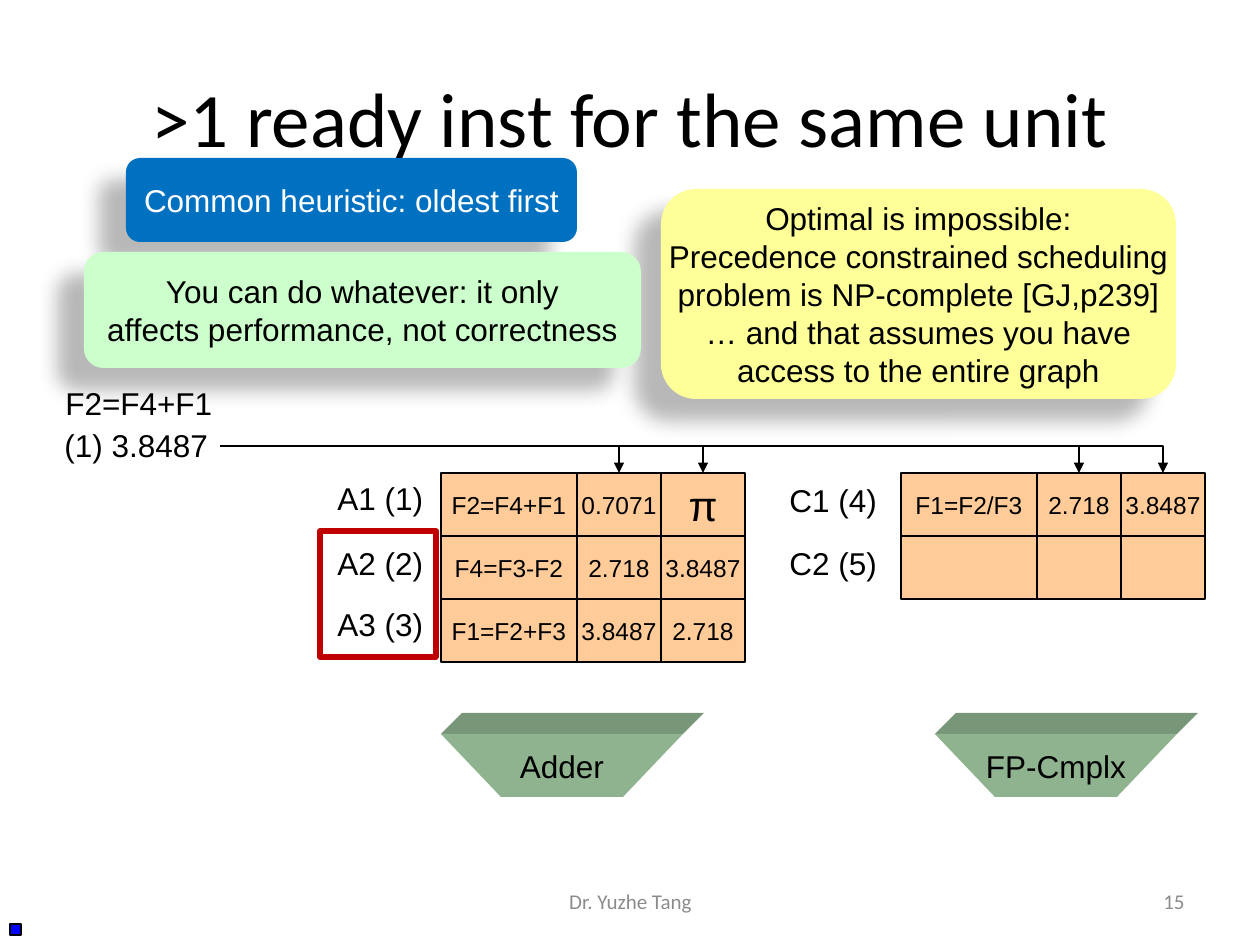
from lxml.etree import SubElement
from pptx import Presentation
from pptx.dml.color import RGBColor
from pptx.enum.shapes import MSO_CONNECTOR, MSO_SHAPE
from pptx.enum.text import MSO_ANCHOR, PP_ALIGN
from pptx.oxml.ns import qn
from pptx.util import Emu, Pt

PX = 914400 / 126
COLORS = {
    "black": "000000", "white": "FFFFFF", "gray": "8C8C8C", "cell": "FFCC99",
    "blue": "0070C0", "yellow": "FFFF99", "mint": "CCFFCC", "red": "C00000",
    "marker": "0000FF", "unit": "8FB38F", "unit_top": "789678",
}
COLUMN_WIDTHS = (136, 84, 84)
ROW_HEIGHT = 63
TABLE_TOP = 473
ADDER_ROWS = [("F2=F4+F1", "0.7071", "π"),
              ("F4=F3-F2", "2.718", "3.8487"),
              ("F1=F2+F3", "3.8487", "2.718")]
CMPLX_ROWS = [("F1=F2/F3", "2.718", "3.8487"), ("", "", "")]
LABELS = [
    ("F2=F4+F1", 53, 378, 174), ("(1) 3.8487", 52, 420, 169),
    ("A1 (1)", 325, 473, 112), ("A2 (2)", 325, 538, 112), ("A3 (3)", 325, 599, 112),
    ("C1 (4)", 777, 475, 113), ("C2 (5)", 777, 538, 113),
]
NOTES = [
    ("Common heuristic: oldest first", (126, 158, 451, 84), "blue", "white"),
    ("Optimal is impossible:\nPrecedence constrained scheduling\n"
     "problem is NP-complete [GJ,p239]\n… and that assumes you have\n"
     "access to the entire graph", (661, 189, 515, 210), "yellow", "black"),
    ("You can do whatever: it only\naffects performance, not correctness",
     (84, 252, 557, 116), "mint", "black"),
]


def px(*lengths):
    return [Emu(round(v * PX)) for v in lengths]


def rgb(name):
    return RGBColor.from_string(COLORS[name])


def write(shape, text, size=18, color="black", font="Arial",
          align=PP_ALIGN.CENTER, anchor=MSO_ANCHOR.MIDDLE, wrap=False):
    tf = shape.text_frame
    tf.word_wrap = wrap
    tf.vertical_anchor = anchor
    tf.text = text
    values = {"size": Pt(size), "name": font}
    for p in tf.paragraphs:
        p.alignment = align
        for r in p.runs:
            for key, value in values.items():
                setattr(r.font, key, value)
            r.font.color.rgb = rgb(color)


def paint(shape, fill=None, line=None, width=0.75):
    shape.shadow.inherit = False
    if fill:
        shape.fill.solid()
        shape.fill.fore_color.rgb = rgb(fill)
    else:
        shape.fill.background()
    if line:
        shape.line.color.rgb = rgb(line)
        shape.line.width = Pt(width)
    else:
        shape.line.fill.background()


def add_text(s, text, box, **fmt):
    write(s.shapes.add_textbox(*px(*box)), text, **fmt)


def add_box(s, box, fill=None, line=None, width=0.75, kind=MSO_SHAPE.RECTANGLE):
    shape = s.shapes.add_shape(kind, *px(*box))
    paint(shape, fill, line, width)
    return shape


def add_station(s, left, rows):
    """Draw a grid of cells and return the operand cells of its first row."""
    first_row = []
    for i, row in enumerate(rows):
        for j, text in enumerate(row):
            x = left + sum(COLUMN_WIDTHS[:j])
            cell = add_box(s, (x, TABLE_TOP + i * ROW_HEIGHT, COLUMN_WIDTHS[j], ROW_HEIGHT),
                           "cell", "black")
            if text:
                write(cell, text, size=24 if text == "π" else 14)
            if i == 0:
                first_row.append(cell)
    return first_row[1:]


def add_polygon(s, points, fill):
    builder = s.shapes.build_freeform(*points[0], scale=PX)
    builder.add_line_segments(points[1:], close=True)
    shape = builder.convert_to_shape()
    paint(shape, fill)
    return shape


def add_unit(s, left, name):
    """Draw a functional unit: a trapezoid with a darker top face."""
    top, bottom, depth = 734, 797, 21
    right = left + 242
    add_polygon(s, [(left, top), (left + depth, top - depth),
                    (right + depth, top - depth), (right, top)], "unit_top")
    face = add_polygon(s, [(left, top), (left + 60, bottom),
                           (right - 60, bottom), (right, top)], "unit")
    write(face, name)


def add_bus_arrow(s, cell):
    """Draw an arrow from the result bus down to the top of a cell."""
    x, y = px(220, 446)
    c = s.shapes.add_connector(MSO_CONNECTOR.ELBOW, x, y,
                               cell.left + cell.width // 2, cell.top)
    c.end_connect(cell, 0)
    c.line.color.rgb = rgb("black")
    c.line.width = Pt(0.75)
    sp_pr = c._element.spPr
    sp_pr.find(qn("a:prstGeom")).set("prst", "bentConnector2")
    SubElement(c.line._get_or_add_ln(), qn("a:tailEnd"), type="triangle")
    SubElement(sp_pr, qn("a:effectLst"))


def add_note(s, text, box, fill, color):
    shape = add_box(s, box, fill, kind=MSO_SHAPE.ROUNDED_RECTANGLE)
    write(shape, text, color=color)
    effects = shape._element.spPr.find(qn("a:effectLst"))
    shadow = SubElement(effects, qn("a:outerShdw"), blurRad="150000", dist="250000",
                        dir="8460000", algn="ctr", rotWithShape="0")
    shade = SubElement(shadow, qn("a:srgbClr"), val=COLORS["black"])
    SubElement(shade, qn("a:alpha"), val="28000")


def main():
    prs = Presentation()
    prs.slide_width, prs.slide_height = px(1260, 945)
    s = prs.slides.add_slide(prs.slide_layouts[6])

    add_text(s, ">1 ready inst for the same unit", (63, 38, 1134, 157),
             size=44, font="Calibri", wrap=True)
    operands = add_station(s, 441, ADDER_ROWS) + add_station(s, 901, CMPLX_ROWS)
    add_unit(s, 441, "Adder")
    add_unit(s, 935, "FP-Cmplx")
    for text, x, y, width in LABELS:
        add_text(s, text, (x, y, width, 50), align=PP_ALIGN.LEFT, anchor=MSO_ANCHOR.TOP)
    for cell in operands:
        add_bus_arrow(s, cell)
    for note in NOTES:
        add_note(s, *note)
    add_box(s, (10, 924, 11, 11), "marker", "black")
    add_box(s, (320, 531, 116, 126), line="red", width=3)

    footer = {"size": 12, "color": "gray", "font": "Calibri", "wrap": True}
    add_text(s, "Dr. Yuzhe Tang", (431, 876, 399, 50), **footer)
    add_text(s, "15", (903, 876, 294, 50), align=PP_ALIGN.RIGHT, **footer)
    prs.save("out.pptx")


if __name__ == "__main__":
    main()
